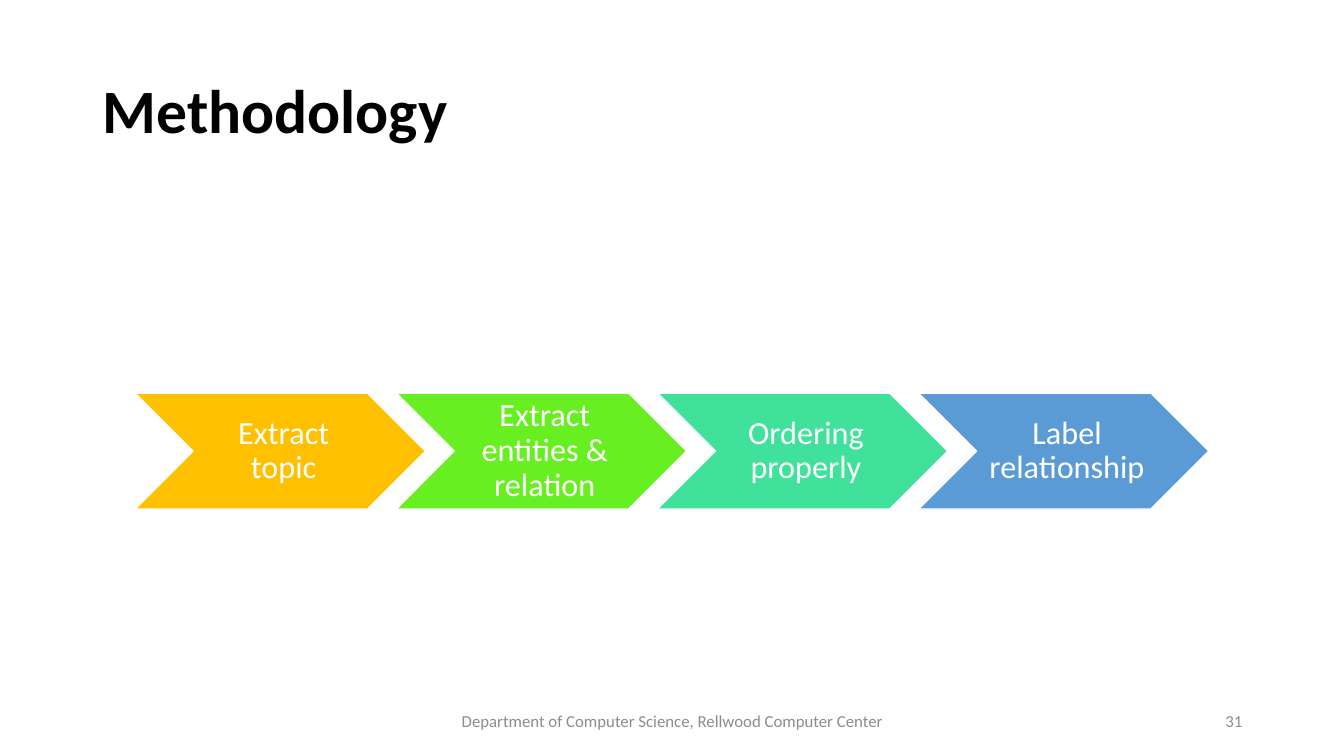
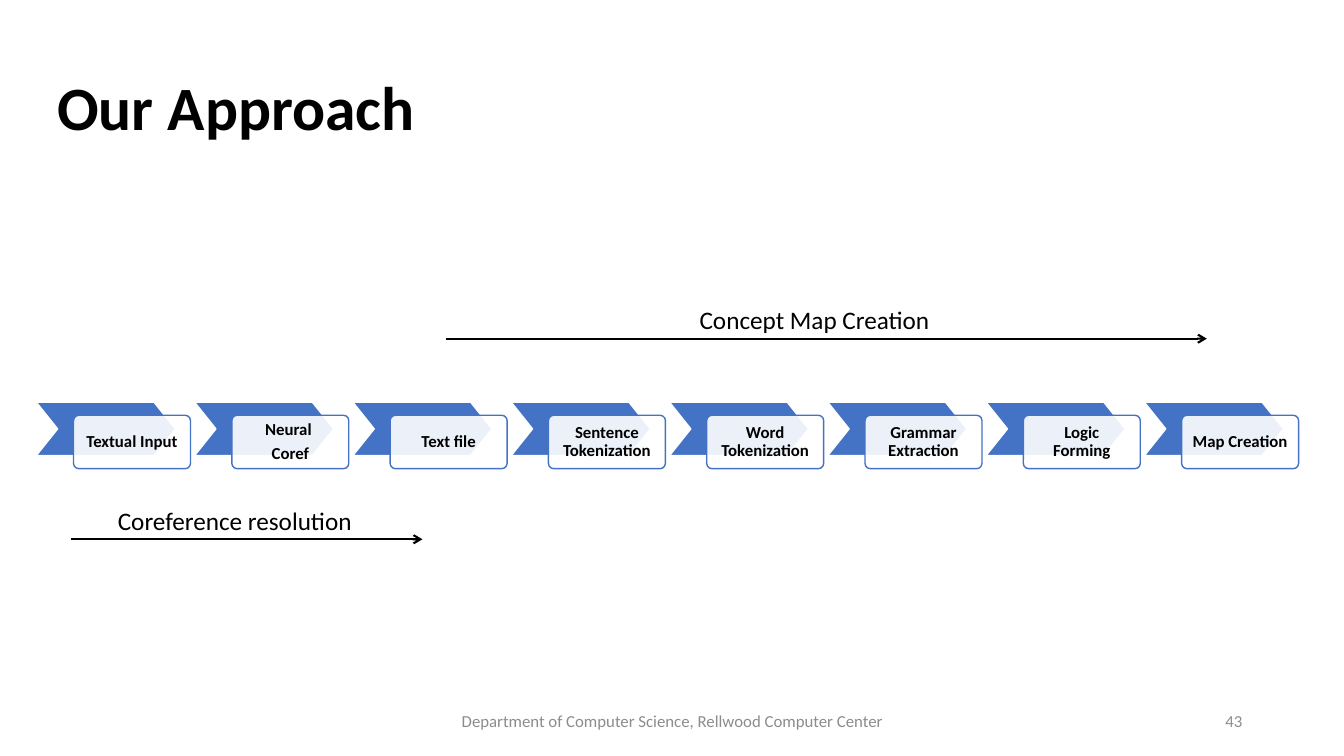
"""Build two process slides: methodology and approach."""
import dataclasses

import lxml.etree
import pptx
import pptx.dml.color
import pptx.enum.shapes
import pptx.enum.text
import pptx.oxml.ns
import pptx.util

Inches = pptx.util.Inches
Pt = pptx.util.Pt
SHAPE = pptx.enum.shapes.MSO_SHAPE
ALIGN = pptx.enum.text.PP_ALIGN
ANCHOR = pptx.enum.text.MSO_ANCHOR


@dataclasses.dataclass(frozen=True)
class Theme:
    """Colours, font, type sizes and shared wording."""

    font: str = "Calibri"
    black: str = "000000"
    white: str = "FFFFFF"
    grey: str = "8C8C8C"
    blue: str = "4472C4"
    phases: tuple = ("FFC000", "67EF21", "3FE19B", "5B9BD5")
    title_size: int = 44
    phase_size: int = 23
    label_size: int = 18
    small_size: int = 12
    space_share: float = 0.35
    tight: float = 0.9
    footer: str = "Department of Computer Science, Rellwood Computer Center"


THEME = Theme()


def apply_format(target, values):
    """Set each attribute of target from a dict of values."""
    for name, value in values.items():
        setattr(target, name, value)


def rgb(value):
    """Return the colour for a hex string."""
    return pptx.dml.color.RGBColor.from_string(value)


def add_xml(parent, tag, **attributes):
    """Append an empty drawing element to parent."""
    return lxml.etree.SubElement(parent, pptx.oxml.ns.qn(tag), attributes)


def write_text(box, lines, size, color, bold=False, align=ALIGN.LEFT,
               spacing=1.0, after=0, insets=(0.1, 0.05, 0.1, 0.05), wrap=True):
    """Write one paragraph per line of text into a box."""
    frame = box.text_frame
    sides = ("margin_left", "margin_top", "margin_right", "margin_bottom")
    apply_format(frame, dict(zip(sides, map(Inches, insets))))
    apply_format(frame, {"word_wrap": wrap, "vertical_anchor": ANCHOR.MIDDLE})
    for index, line in enumerate(lines.split("\n")):
        para = frame.add_paragraph() if index else frame.paragraphs[0]
        apply_format(para, {"alignment": align, "line_spacing": spacing,
                            "space_after": Pt(after)})
        span = para.add_run()
        span.text = line
        apply_format(span.font, {"name": THEME.font, "size": Pt(size), "bold": bold})
        span.font.color.rgb = rgb(color)


def add_text(page, place, lines, size, color=THEME.black, **options):
    """Add a text box at left, top, width, height."""
    box = page.shapes.add_textbox(*map(Inches, place))
    write_text(box, lines, size, color, **options)


def add_outline(page, kind, place, fill, line, adjustment):
    """Add a filled preset shape with a thin outline."""
    box = page.shapes.add_shape(kind, *map(Inches, place))
    box.shadow.inherit = False
    box.adjustments[0] = adjustment
    box.fill.solid()
    box.fill.fore_color.rgb = rgb(fill)
    box.line.color.rgb = rgb(line)
    box.line.width = Pt(1)
    return box


def write_step(box, lines, size, color, insets, bold=False):
    """Write centred, tightly spaced text into a process step."""
    write_text(box, lines, size, color, bold=bold, align=ALIGN.CENTER,
               spacing=THEME.tight, after=size * THEME.space_share, insets=insets)


def add_phase(page, left, lines, fill):
    """Add a large coloured chevron with its text."""
    box = add_outline(page, SHAPE.CHEVRON, (left, 3.9, 2.88, 1.15), fill,
                      THEME.white, 0.5)
    write_step(box, lines, THEME.phase_size, THEME.white, (0.1, 0.03, 0.03, 0.03))


def add_stage(page, left, lines):
    """Add a small chevron with a translucent card over it."""
    add_outline(page, SHAPE.CHEVRON, (left, 3.99, 1.38, 0.53), THEME.blue,
                THEME.white, 0.4)
    card = add_outline(page, SHAPE.ROUNDED_RECTANGLE, (left + 0.37, 4.12, 1.16, 0.53),
                       THEME.white, THEME.blue, 0.1)
    color = card.fill._xPr.find(".//" + pptx.oxml.ns.qn("a:srgbClr"))
    add_xml(color, "a:alpha", val="90000")
    write_step(card, lines, THEME.small_size, THEME.black, (0.09,) * 4, bold=True)


def add_span_arrow(page, start, end, top, label, label_left, label_width):
    """Add a horizontal arrow with its label above."""
    arrow = page.shapes.add_connector(
        pptx.enum.shapes.MSO_CONNECTOR.STRAIGHT,
        *map(Inches, (start, top, end, top)))
    arrow.line.color.rgb = rgb(THEME.black)
    arrow.line.width = Pt(1.5)
    add_xml(arrow.line._get_or_add_ln(), "a:tailEnd", type="arrow")
    add_xml(arrow._element.spPr, "a:effectLst")
    add_text(page, (label_left, top - 0.39, label_width, 0.4), label,
             THEME.label_size, wrap=False)


def add_page(deck, title, left, top, number):
    """Add a blank slide with its title, footer and number."""
    page = deck.slides.add_slide(deck.slide_layouts[6])
    add_text(page, (left, top, 11.5, 1.45), title, THEME.title_size,
             bold=True, spacing=THEME.tight)
    add_text(page, (4.42, 6.95, 4.5, 0.4), THEME.footer, THEME.small_size,
             THEME.grey, align=ALIGN.CENTER)
    add_text(page, (9.42, 6.95, 3, 0.4), number, THEME.small_size,
             THEME.grey, align=ALIGN.RIGHT)
    return page


def build_methodology(deck):
    """Build the slide with four phases."""
    page = add_page(deck, "Methodology", 0.92, 0.4, "31")
    phases = ("Extract topic", "Extract entities & relation",
              "Ordering properly", "Label relationship")
    for index, (phase, fill) in enumerate(zip(phases, THEME.phases)):
        add_phase(page, 1.34 + 2.59 * index, phase, fill)


def build_approach(deck):
    """Build the slide with eight stages and two spans."""
    page = add_page(deck, "Our Approach", 0.47, 0.37, "43")
    stages = ("Textual Input", "Neural \nCoref", "Text file",
              "Sentence Tokenization", "Word Tokenization",
              "Grammar Extraction", "Logic Forming", "Map Creation")
    for index, stage in enumerate(stages):
        add_stage(page, 0.36 + 1.57 * index, stage)
    add_span_arrow(page, 0.7, 4.19, 5.35, "Coreference resolution", 1.07, 2.55)
    add_span_arrow(page, 4.42, 11.97, 3.36, "Concept Map Creation", 6.84, 2.51)


def main():
    """Build and save the deck."""
    deck = pptx.Presentation()
    apply_format(deck, {"slide_width": Inches(13.33), "slide_height": Inches(7.5)})
    build_methodology(deck)
    build_approach(deck)
    deck.save("out.pptx")


if __name__ == "__main__":
    main()
